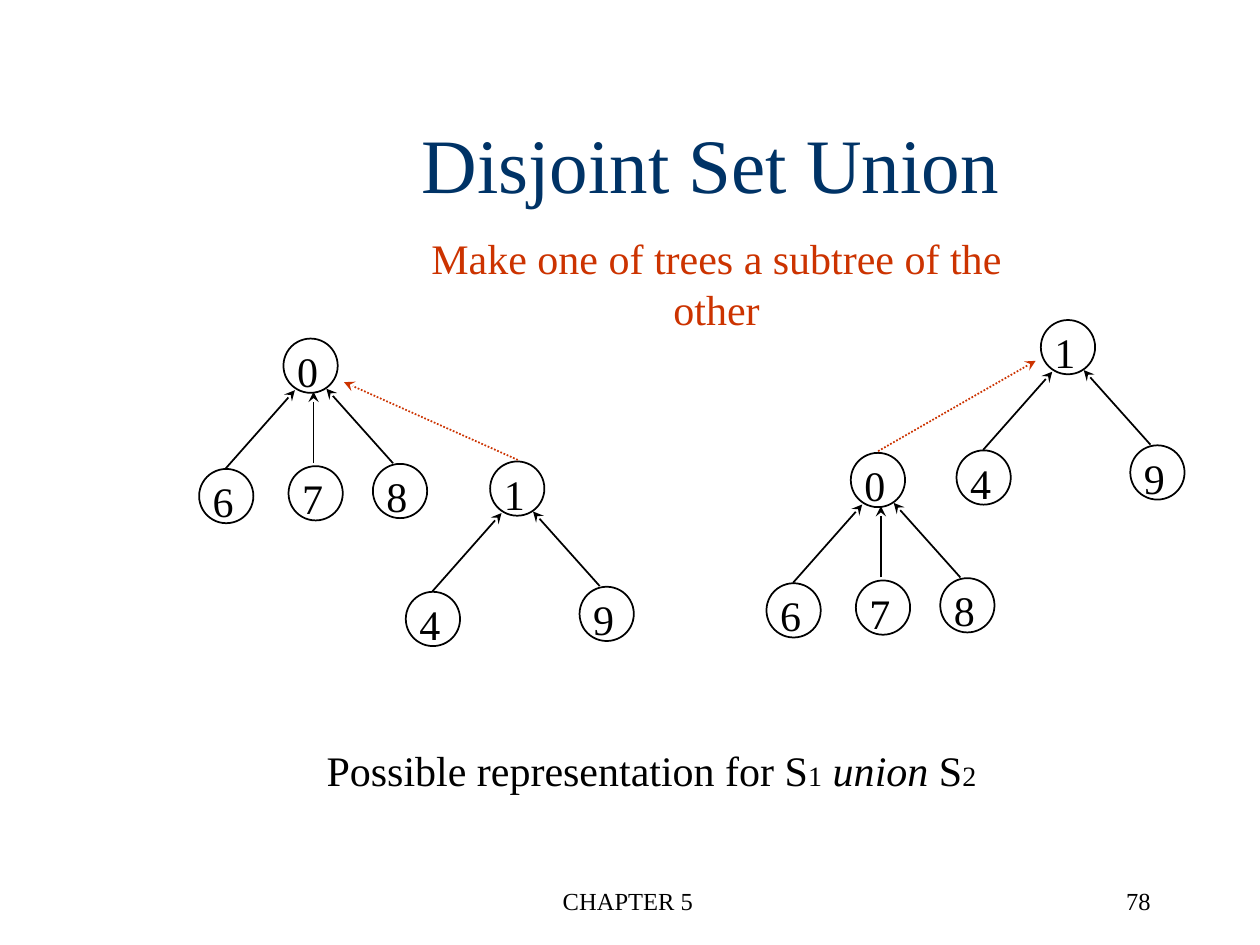
from dataclasses import dataclass

from lxml.etree import SubElement
from pptx import Presentation
from pptx.dml.color import RGBColor
from pptx.enum.dml import MSO_LINE
from pptx.enum.shapes import MSO_CONNECTOR, MSO_SHAPE
from pptx.enum.text import MSO_ANCHOR, MSO_AUTO_SIZE, PP_ALIGN
from pptx.oxml.ns import qn
from pptx.util import Pt


@dataclass(frozen=True)
class Theme:
    font: str = "Times New Roman"
    navy: RGBColor = RGBColor(0x00, 0x33, 0x66)
    red: RGBColor = RGBColor(0xCC, 0x33, 0x00)
    black: RGBColor = RGBColor(0x00, 0x00, 0x00)
    title: int = 44
    body: int = 24
    subscript: int = 16
    footer: int = 14


THEME = Theme()
NODE = 31  # diameter of a tree node
# Child slots, relative to the root's corner: child corner, arrow start, arrow end
LEFT = ((-48.2, 74.5), (-33, 74.2), (6.5, 29.5))
MIDDLE = ((2.9, 72.9), (17.2, 71.2), (17.2, 30.4))
RIGHT = ((51.1, 71.6), (62.6, 71.2), (24.5, 28.6))


def shift(corner, offset):
    return corner[0] + offset[0], corner[1] + offset[1]


def add_text(page, box, pieces, size, color, align=PP_ALIGN.LEFT, wrap=False):
    """Write (text, size, italic) pieces, or one plain string, as a paragraph."""
    text_box = page.shapes.add_textbox(*(Pt(value) for value in box))
    frame = text_box.text_frame
    frame.word_wrap = wrap
    if not wrap:
        frame.auto_size = MSO_AUTO_SIZE.SHAPE_TO_FIT_TEXT
    para = frame.paragraphs[0]
    para.alignment = align
    if isinstance(pieces, str):
        pieces = [(pieces, size, False)]
    for text, span_size, italic in pieces:
        span = para.add_run()
        span.text = text
        span.font.name = THEME.font
        span.font.size = Pt(span_size)
        span.font.italic = italic
        span.font.color.rgb = color
    return frame


def add_arrow(page, start, end, color=THEME.black, dotted=False):
    arrow = page.shapes.add_connector(
        MSO_CONNECTOR.STRAIGHT, *(Pt(value) for value in (*start, *end)))
    arrow.line.color.rgb = color
    arrow.line.width = Pt(1)
    if dotted:
        arrow.line.dash_style = MSO_LINE.ROUND_DOT
    SubElement(arrow.line._get_or_add_ln(), qn("a:tailEnd"), type="stealth")
    SubElement(arrow._element.spPr, qn("a:effectLst"))


def add_node(page, corner, label):
    circle = page.shapes.add_shape(
        MSO_SHAPE.OVAL, *(Pt(value) for value in (*corner, NODE, NODE)))
    circle.shadow.inherit = False
    circle.fill.background()
    circle.line.color.rgb = THEME.black
    circle.line.width = Pt(1)
    add_text(page, (*shift(corner, (0.7, 0.3)), 26.6, 36), label,
             THEME.body, THEME.black)


def add_tree(page, corner, root, children):
    """Draw a root and its children, each child pointing to the root."""
    add_node(page, corner, root)
    for label, (child, start, end) in children.items():
        add_node(page, shift(corner, child), label)
        add_arrow(page, shift(corner, start), shift(corner, end))


def add_union(page, zero_corner, one_corner, link):
    """Draw both set trees and the dotted link that joins their roots."""
    add_tree(page, zero_corner, "0", {"6": LEFT, "7": MIDDLE, "8": RIGHT})
    add_tree(page, one_corner, "1", {"4": LEFT, "9": RIGHT})
    add_arrow(page, *link, color=THEME.red, dotted=True)


def add_heading(page, box):
    left, top, width, height = box
    title = add_text(page, (left, top, width, height), "Disjoint Set Union",
                     THEME.title, THEME.navy, PP_ALIGN.CENTER, wrap=True)
    title.vertical_anchor = MSO_ANCHOR.MIDDLE
    add_text(page, (left + 166.4, top + 81.4, 395.3, 36),
             "Make one of trees a subtree of the other",
             THEME.body, THEME.red, PP_ALIGN.CENTER)


def add_caption(page, box):
    add_text(page, box, [
        ("Possible representation for S", THEME.body, False),
        ("1", THEME.subscript, False),
        (" ", THEME.body, False),
        ("union", THEME.body, True),
        (" S", THEME.body, False),
        ("2", THEME.subscript, False),
    ], THEME.body, THEME.black)


def add_footer(page, box):
    left, top, width, height = box
    add_text(page, (left, top, 228, height), "CHAPTER 5",
             THEME.footer, THEME.black, PP_ALIGN.CENTER, wrap=True)
    add_text(page, (left + width - 150, top, 150, height), "78",
             THEME.footer, THEME.black, PP_ALIGN.RIGHT, wrap=True)


def main():
    deck = Presentation()
    deck.slide_width, deck.slide_height = Pt(720), Pt(540)
    page = deck.slides.add_slide(deck.slide_layouts[6])

    # Title and subtitle
    add_heading(page, (45.4, 48.2, 721.4, 90))
    # Tree 1 becomes a subtree of 0
    add_union(page, (162, 193.5), (280.1, 263.7),
              ((295.9, 262.8), (196.6, 218.4)))
    # Tree 0 becomes a subtree of 1
    add_union(page, (486.2, 258.8), (594.8, 182.9),
              ((501.8, 257.8), (591.8, 206.2)))
    # Caption and footer
    add_caption(page, (179.5, 422, 386, 36))
    add_footer(page, (244.8, 502.6, 419.8, 36))

    deck.save("out.pptx")


if __name__ == "__main__":
    main()
